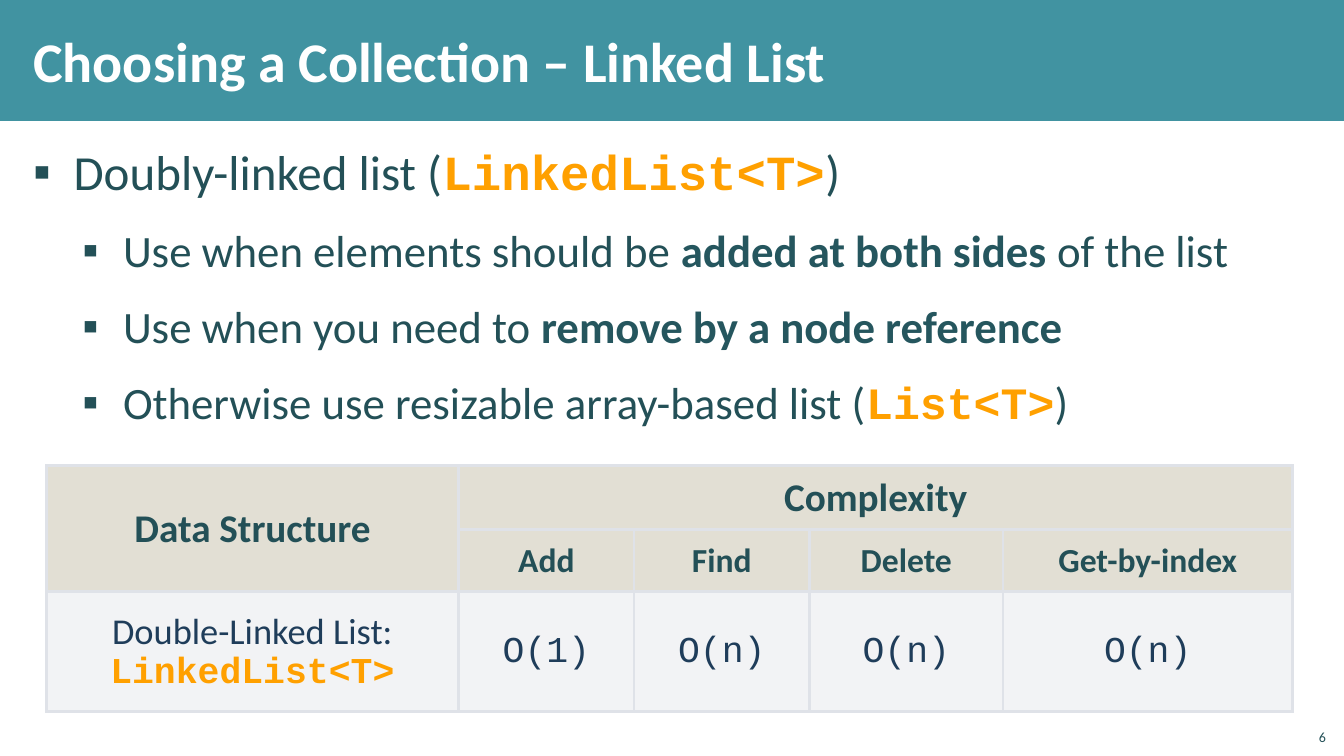
"""Build a slide on when to choose a linked list."""
from dataclasses import dataclass, field
from typing import Any

from lxml import etree
from pptx import Presentation
from pptx.dml.color import RGBColor
from pptx.enum.shapes import MSO_SHAPE
from pptx.enum.text import MSO_ANCHOR, PP_ALIGN
from pptx.oxml.ns import qn
from pptx.util import Pt

PX = 9144
RECT = MSO_SHAPE.RECTANGLE
TOP, MID, LOW = MSO_ANCHOR.TOP, MSO_ANCHOR.MIDDLE, MSO_ANCHOR.BOTTOM
LEFT, MIDST, RIGHT = PP_ALIGN.LEFT, PP_ALIGN.CENTER, PP_ALIGN.RIGHT


@dataclass(frozen=True)
class Theme:
    """Colours, fonts and type sizes."""
    band: str = "4193A1"
    white: str = "FFFFFF"
    ink: str = "235057"
    strong: str = "25565E"
    code: str = "FFA000"
    navy: str = "1F3D5A"
    edge: str = "DFE2E8"
    head: str = "C6C0AA"
    row: str = "C1C6D1"
    sans: str = "Calibri"
    mono: str = "Courier New"
    title: int = 40
    lead: int = 35
    point: int = 32
    group: int = 28
    label: int = 24
    cell: int = 26
    page: int = 10


T = Theme()


@dataclass(frozen=True)
class Run:
    """A stretch of text in one style."""
    text: str
    size: int
    color: str = T.ink
    bold: bool = False
    face: str = T.sans


@dataclass(frozen=True)
class Para:
    """A paragraph, with a bullet when it has an indent."""
    runs: list[Run]
    indent: int = 0
    level: int = 0
    style: dict[str, Any] = field(default_factory=dict)


@dataclass(frozen=True)
class Box:
    """A text box with its place and paragraphs."""
    place: tuple[int, int, int, int]
    paras: list[Para]
    anchor: Any = TOP
    inset: tuple[int, int] = (12, 4)


@dataclass(frozen=True)
class Cell:
    """A table cell with its place, span and fill."""
    row: int
    col: int
    runs: list[Run]
    fill: str = T.head
    alpha: int = 50
    span: tuple[int, int] = (1, 1)


def put(item: Any, vals: dict[str, Any]) -> None:
    """Set each named value on an object."""
    for name, val in vals.items():
        setattr(item, name, val)


def code(text: str, size: int) -> Run:
    """Return a run in the code style."""
    return Run(text, size, T.code, True, T.mono)


def write(frame: Any, paras: list[Para]) -> None:
    """Write paragraphs into a text frame."""
    for num, para in enumerate(paras):
        line = frame.add_paragraph() if num else frame.paragraphs[0]
        if para.indent:
            props = line._p.get_or_add_pPr()
            props.set("marL", str(para.indent * PX))
            props.set("indent", str(-40 * PX))
            etree.SubElement(props, qn("a:buFont")).set("typeface", T.sans)
            etree.SubElement(props, qn("a:buChar")).set("char", "▪")
        put(line, {"level": para.level, **para.style})
        for run in para.runs:
            bit = line.add_run()
            bit.text = run.text
            put(bit.font, {"name": run.face, "size": Pt(run.size), "bold": run.bold})
            bit.font.color.rgb = RGBColor.from_string(run.color)


def draw_box(slide: Any, box: Box) -> None:
    """Draw a text box."""
    frame = slide.shapes.add_textbox(*(n * PX for n in box.place)).text_frame
    side, edge = (n * PX for n in box.inset)
    put(frame, {"word_wrap": True, "vertical_anchor": box.anchor,
                "margin_left": side, "margin_right": side,
                "margin_top": edge, "margin_bottom": edge})
    write(frame, box.paras)


def draw_cell(table: Any, item: Cell) -> None:
    """Fill in one table cell."""
    cell = table.cell(item.row, item.col)
    rows, cols = item.span
    if rows * cols > 1:
        cell.merge(table.cell(item.row + rows - 1, item.col + cols - 1))
    put(cell, {"vertical_anchor": MID, "margin_left": 10 * PX, "margin_right": 10 * PX,
               "margin_top": 5 * PX, "margin_bottom": 5 * PX})
    write(cell.text_frame, [Para(item.runs, style={"alignment": MIDST, "line_spacing": 0.95})])
    for row in range(item.row, item.row + rows):
        for col in range(item.col, item.col + cols):
            paint(table.cell(row, col), item)


def paint(cell: Any, item: Cell) -> None:
    """Give a cell its clear fill and its borders."""
    cell.fill.solid()
    cell.fill.fore_color.rgb = RGBColor.from_string(item.fill)
    props = cell._tc.get_or_add_tcPr()
    tint = props.find(".//" + qn("a:srgbClr"))
    etree.SubElement(tint, qn("a:alpha")).set("val", str(item.alpha * 1000))
    for num, side in enumerate("LRTB"):
        line = etree.Element(qn(f"a:ln{side}"), w=str(Pt(2.25)))
        fill = etree.SubElement(line, qn("a:solidFill"))
        etree.SubElement(fill, qn("a:srgbClr")).set("val", T.edge)
        props.insert(num, line)


def draw_table(slide: Any, place: tuple[int, int], cols: list[int],
               rows: list[int], cells: list[Cell]) -> None:
    """Draw a table from its sizes and cells."""
    dims = (*place, sum(cols), sum(rows))
    table = slide.shapes.add_table(len(rows), len(cols), *(n * PX for n in dims)).table
    put(table, {"first_row": False, "horz_banding": False})
    for col, wide in zip(table.columns, cols):
        col.width = wide * PX
    for row, high in zip(table.rows, rows):
        row.height = high * PX
    for cell in cells:
        draw_cell(table, cell)


def point(runs: list[Run], first: bool = False) -> Para:
    """Return a bullet of the first or second level."""
    style = {"line_spacing": 1.1, "space_before": Pt(0 if first else 6), "space_after": Pt(6)}
    return Para(runs, 40 if first else 89, 0 if first else 1, style)


POINTS = [
    point([Run("Doubly-linked list (", T.lead), code("LinkedList<T>", T.lead),
           Run(")", T.lead)], True),
    point([Run("Use when elements should be ", T.point),
           Run("added at both sides ", T.point, T.strong, True), Run("of the list", T.point)]),
    point([Run("Use when you need to ", T.point),
           Run("remove by a node reference", T.point, T.strong, True)]),
    point([Run("Otherwise use resizable array-based list (", T.point),
           code("List<T>", T.point), Run(")", T.point)]),
]
BOXES = [
    Box((21, 131, 1292, 608), POINTS),
    Box((21, 11, 1071, 97), [Para([Run("Choosing a Collection – Linked List",
                                       T.title, T.white, True)])], MID),
    Box((1285, 712, 40, 32), [Para([Run("6", T.page)], style={"alignment": RIGHT})],
        LOW, (10, 5)),
]
COSTS = {"Add": "O(1)", "Find": "O(n)", "Delete": "O(n)", "Get-by-index": "O(n)"}
CELLS = [
    Cell(0, 0, [Run("Data Structure", T.group, bold=True)], span=(2, 1)),
    Cell(0, 1, [Run("Complexity", T.group, bold=True)], span=(1, 4)),
    Cell(2, 0, [Run("Double-Linked List: ", T.cell, T.navy),
                code("LinkedList<T>", T.cell)], T.row, 20),
]
for spot, (task, cost) in enumerate(COSTS.items(), 1):
    CELLS += [Cell(1, spot, [Run(task, T.label, bold=True)]),
              Cell(2, spot, [Run(cost, T.cell, T.navy, face=T.mono)], T.row, 20)]


def main() -> None:
    """Build the slide and save it."""
    deck = Presentation()
    put(deck, {"slide_width": 1333 * PX, "slide_height": 750 * PX})
    slide = deck.slides.add_slide(deck.slide_layouts[6])
    band = slide.shapes.add_shape(RECT, 0, 0, 1333 * PX, 120 * PX)
    band.shadow.inherit = False
    band.fill.solid()
    band.fill.fore_color.rgb = RGBColor.from_string(T.band)
    band.line.fill.background()
    for box in BOXES:
        draw_box(slide, box)
    draw_table(slide, (46, 462), [409, 174, 174, 192, 287], [63, 62, 119], CELLS)
    deck.save("out.pptx")


if __name__ == "__main__":
    main()
